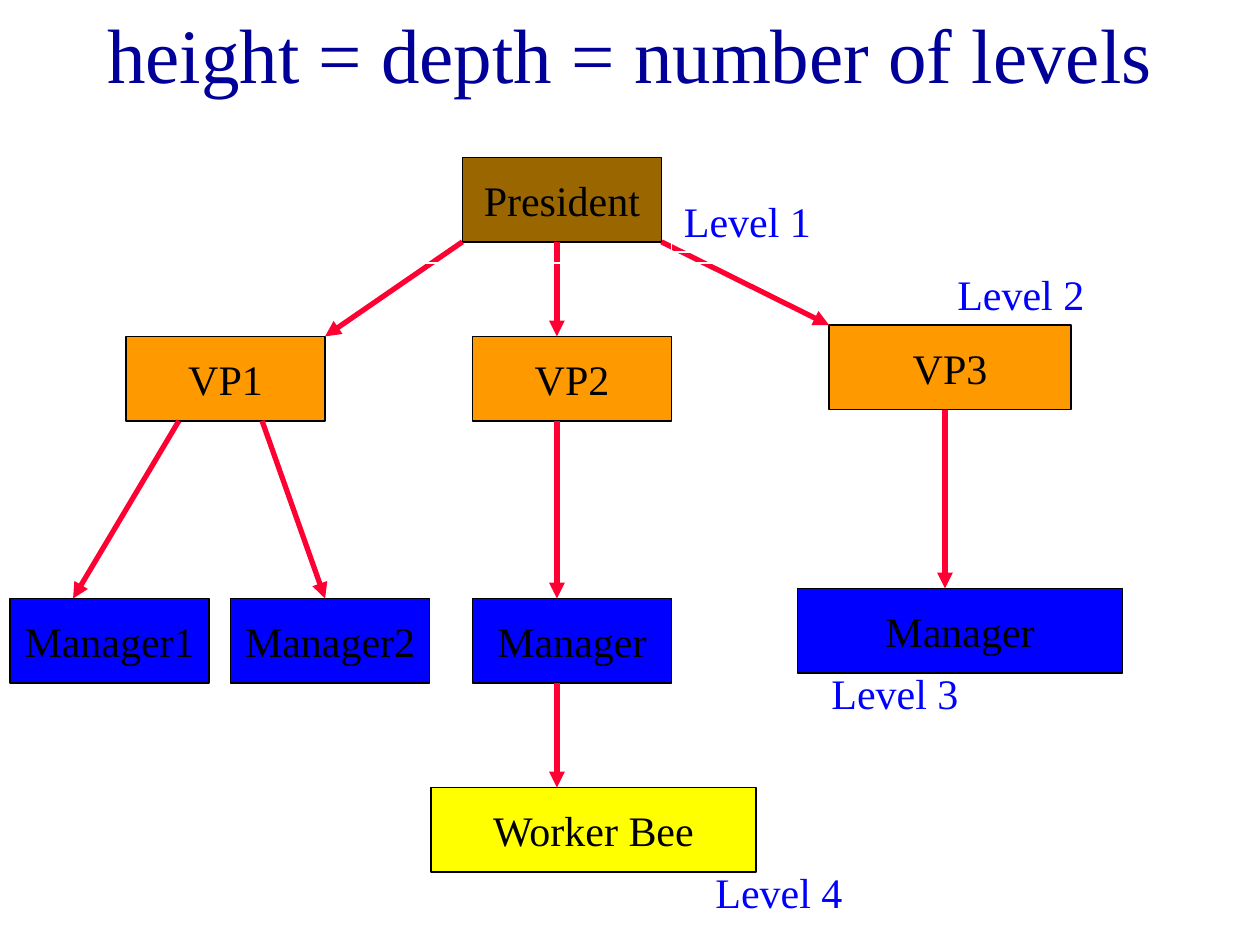
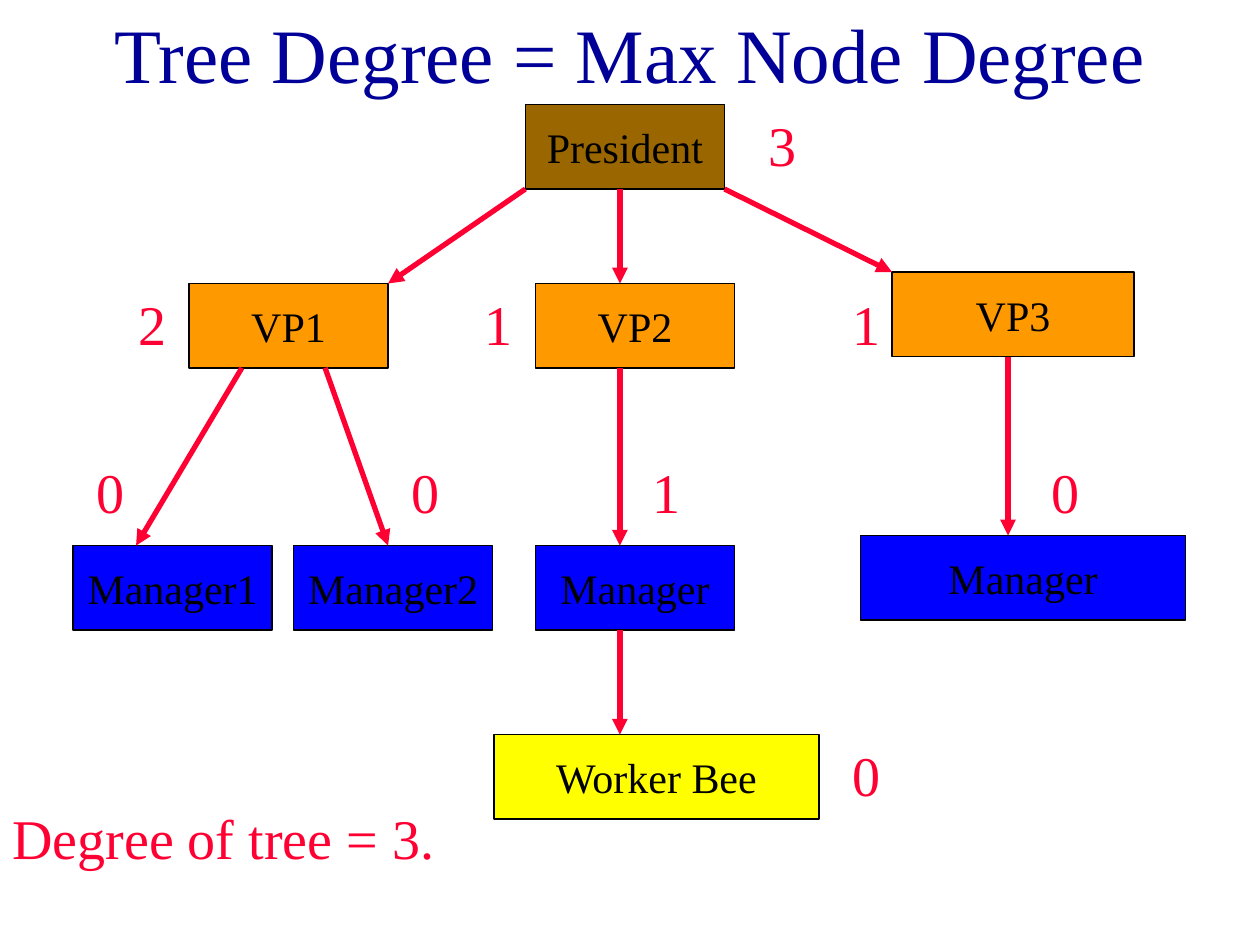
from dataclasses import dataclass

from lxml import etree
from pptx import Presentation
from pptx.dml.color import RGBColor as Color
from pptx.enum.shapes import MSO_CONNECTOR as Connector, MSO_SHAPE as Shape
from pptx.enum.text import MSO_ANCHOR as Anchor, PP_ALIGN as Align
from pptx.oxml.ns import qn
from pptx.util import Inches, Pt


@dataclass(frozen=True)
class Theme:
    """Colours, font and sizes shared by both slides."""
    font: str = "Times New Roman"
    title: str = "000099"
    text: str = "000000"
    level: str = "0000FF"
    accent: str = "FF0033"
    frame: str = "FFFFFF"
    president: str = "996600"
    vice: str = "FF9900"
    manager: str = "0000FF"
    worker: str = "FFFF00"
    title_size: int = 44
    label_size: int = 24
    degree_size: int = 32
    border: int = 1
    arrow: int = 3


THEME = Theme()
NODE_HEIGHT = 0.67
NARROW, MEDIUM, WIDE = 1.58, 1.92, 2.58

NODES = {
    "president": ("President", 3.67, 1.25, NARROW, THEME.president),
    "vp1": ("VP1", 1, 2.67, NARROW, THEME.vice),
    "vp2": ("VP2", 3.75, 2.67, NARROW, THEME.vice),
    "vp3": ("VP3", 6.58, 2.58, MEDIUM, THEME.vice),
    "manager1": ("Manager1", 0.08, 4.75, NARROW, THEME.manager),
    "manager2": ("Manager2", 1.83, 4.75, NARROW, THEME.manager),
    "vp2_manager": ("Manager", 3.75, 4.75, NARROW, THEME.manager),
    "vp3_manager": ("Manager", 6.33, 4.67, WIDE, THEME.manager),
    "worker": ("Worker Bee", 3.42, 6.25, WIDE, THEME.worker),
}

BRANCHES = [
    ("president", 0.75, "vp2", 0.67),
    ("president", 0, "vp1", NARROW),
    ("president", NARROW, "vp3", 0),
    ("vp1", 0.42, "manager1", 0.5),
    ("vp1", 1.08, "manager2", 0.75),
    ("vp2", 0.67, "vp2_manager", 0.67),
    ("vp3", 0.92, "vp3_manager", 1.17),
    ("vp2_manager", 0.67, "worker", 1),
]

LOWER_LEVELS = [
    ("Level 4", 5.58, 6.83, 3.75),
    ("Level 3", 6.5, 5.25, 3.25),
    ("Level 2", 7.5, 2.08, 2.5),
]

DEGREE_ROWS = {
    0.83: [("3", 6)],
    2.25: [("2", 1), ("1", 3.75), ("1", 6.67)],
    3.58: [("0", 0.67), ("0", 3.17), ("1", 5.08), ("0", 8.25)],
    5.83: [("0", 6.67)],
}


def write_text(shape, text, size, color, align=Align.LEFT, anchor=Anchor.TOP, wrap=True):
    """Put one formatted paragraph into a shape."""
    frame = shape.text_frame
    frame.text = text
    frame.word_wrap = wrap
    frame.vertical_anchor = anchor
    paragraph = frame.paragraphs[0]
    paragraph.alignment = align
    font = paragraph.runs[0].font
    font.name = THEME.font
    font.size = Pt(size)
    font.color.rgb = Color.from_string(color)


def add_titled_slide(presentation, title):
    """Add a title-only slide with the title across its top."""
    slide = presentation.slides.add_slide(presentation.slide_layouts[5])
    shape = slide.shapes.title
    shape.left, shape.top = Inches(0), Inches(0)
    shape.width, shape.height = presentation.slide_width, Inches(0.83)
    write_text(shape, title, THEME.title_size, THEME.title, Align.CENTER, Anchor.MIDDLE)
    return slide


def add_rectangle(slide, left, top, width, height, line, fill=None):
    """Add an outlined rectangle, filled when a colour is given."""
    shape = slide.shapes.add_shape(
        Shape.RECTANGLE, Inches(left), Inches(top), Inches(width), Inches(height))
    shape.shadow.inherit = False
    shape.line.color.rgb = Color.from_string(line)
    shape.line.width = Pt(THEME.border)
    if fill:
        shape.fill.solid()
        shape.fill.fore_color.rgb = Color.from_string(fill)
    else:
        shape.fill.background()
    return shape


def add_arrow(slide, start, end):
    """Add a straight arrow between two points."""
    arrow = slide.shapes.add_connector(
        Connector.STRAIGHT, *(Inches(length) for length in (*start, *end)))
    arrow.line.color.rgb = Color.from_string(THEME.accent)
    arrow.line.width = Pt(THEME.arrow)
    etree.SubElement(arrow.line._get_or_add_ln(), qn("a:tailEnd"), type="triangle")
    etree.SubElement(arrow._element.spPr, qn("a:effectLst"))


def add_tree(slide, shift_x=0, shift_y=0):
    """Draw the organisation tree, moved by the given shift."""
    for name, left, top, width, fill in NODES.values():
        node = add_rectangle(
            slide, left + shift_x, top + shift_y, width, NODE_HEIGHT, THEME.text, fill)
        write_text(node, name, THEME.label_size, THEME.text,
                   Align.CENTER, Anchor.MIDDLE, wrap=False)
    for parent, parent_offset, child, child_offset in BRANCHES:
        _, parent_left, parent_top, _, _ = NODES[parent]
        _, child_left, child_top, _, _ = NODES[child]
        add_arrow(
            slide,
            (parent_left + parent_offset + shift_x, parent_top + NODE_HEIGHT + shift_y),
            (child_left + child_offset + shift_x, child_top + shift_y))


def add_level(slide, text, left, top, width):
    """Add a level label in a white frame."""
    label = add_rectangle(slide, left, top, width, 0.5, THEME.frame)
    write_text(label, text, THEME.label_size, THEME.level)


def add_degree(slide, text, left, top, width=0.5):
    """Add a degree as accent-coloured text."""
    box = slide.shapes.add_textbox(Inches(left), Inches(top), Inches(width), Inches(0.64))
    write_text(box, text, THEME.degree_size, THEME.accent)


def build_height_slide(presentation):
    """Build the slide that counts the levels of the tree."""
    slide = add_titled_slide(presentation, "height = depth = number of levels")
    for level in LOWER_LEVELS:
        add_level(slide, *level)
    add_tree(slide)
    add_level(slide, "Level 1", 5.33, 1.5, 1.25)
    add_rectangle(slide, 2.67, 0.92, 4, 1.17, THEME.frame)


def build_degree_slide(presentation):
    """Build the slide that gives the degree of each node."""
    slide = add_titled_slide(presentation, "Tree Degree = Max Node Degree")
    add_degree(slide, "Degree of tree = 3.", 0, 6.33, 3.92)
    add_tree(slide, 0.5, -0.42)
    for top, degrees in DEGREE_ROWS.items():
        for text, left in degrees:
            add_degree(slide, text, left, top)


def main():
    """Build and save the presentation."""
    presentation = Presentation()
    presentation.slide_width, presentation.slide_height = Inches(10), Inches(7.5)
    build_height_slide(presentation)
    build_degree_slide(presentation)
    presentation.save("out.pptx")


if __name__ == "__main__":
    main()
